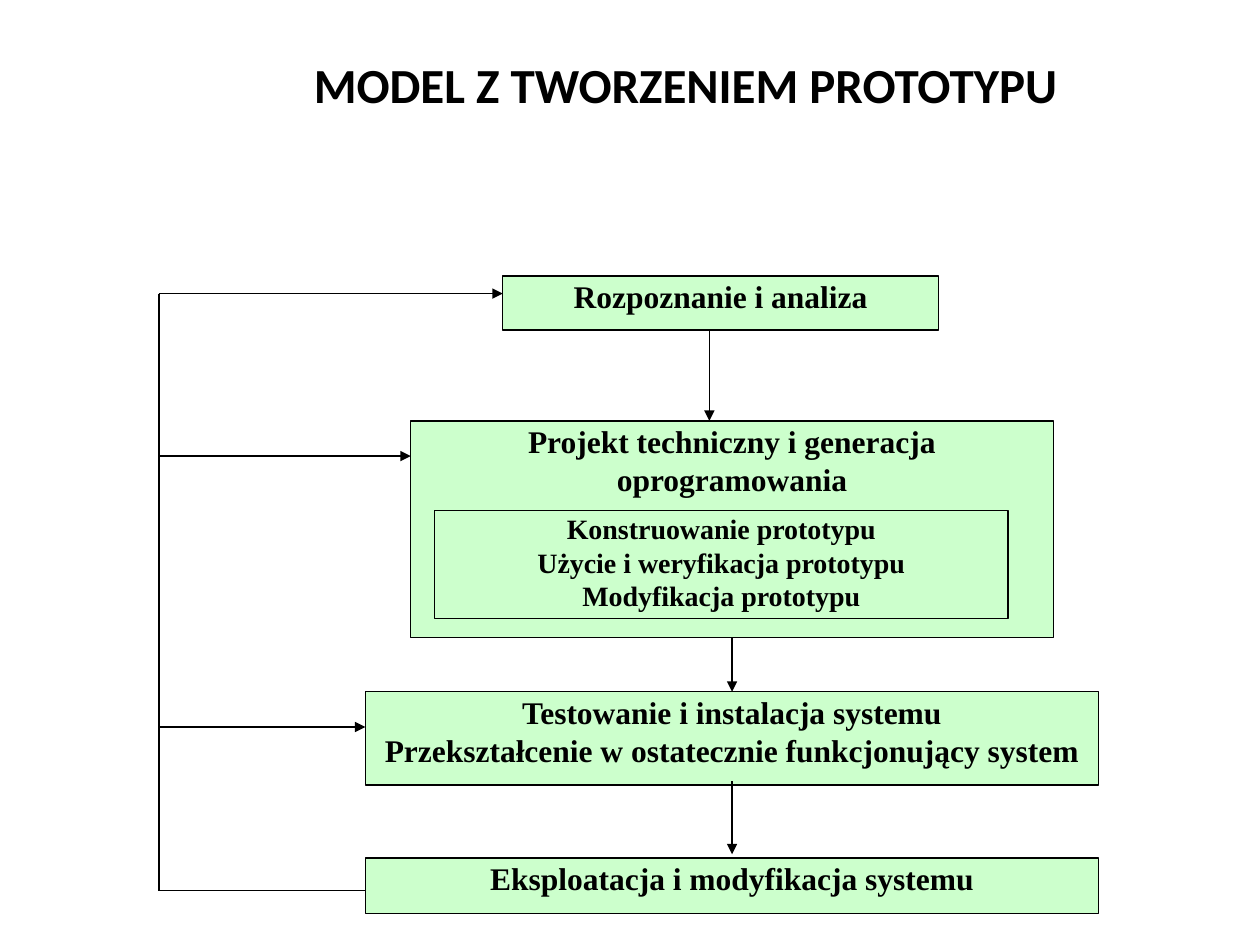
from lxml import etree
from pptx import Presentation
from pptx import util as u
from pptx.dml.color import RGBColor
from pptx.enum import shapes, text
from pptx.oxml import ns

COLORS = {"ink": "000000", "box": "CCFFCC"}
PX = 9144


class Diagram:
    """Draws flow chart elements on one slide in a shared style."""

    def __init__(self, s):
        self.s = s
        self.ink = RGBColor.from_string(COLORS["ink"])

    def label(self, tf, lines, font, size, **frame):
        for name, value in frame.items():
            setattr(tf, name, value)
        style = {"name": font, "size": u.Pt(size), "bold": True}
        for i, line in enumerate(lines):
            p = tf.paragraphs[0] if i == 0 else tf.add_paragraph()
            p.alignment = text.PP_ALIGN.CENTER
            r = p.add_run()
            r.text = line
            for name, value in style.items():
                setattr(r.font, name, value)
            r.font.color.rgb = self.ink

    def title(self, x, y, w, h, line):
        sp = self.s.shapes.title
        for name, value in {"left": x, "top": y, "width": w, "height": h}.items():
            setattr(sp, name, value * PX)
        self.label(sp.text_frame, [line], "Calibri", 28,
                   vertical_anchor=text.MSO_ANCHOR.MIDDLE, word_wrap=True)

    def box(self, x, y, w, h, *lines, size=18, fill="box"):
        sp = self.s.shapes.add_shape(shapes.MSO_SHAPE.RECTANGLE,
                                     x * PX, y * PX, w * PX, h * PX)
        sp.shadow.inherit = False
        if fill:
            sp.fill.solid()
            sp.fill.fore_color.rgb = RGBColor.from_string(COLORS[fill])
        else:
            sp.fill.background()
        sp.line.color.rgb = self.ink
        sp.line.width = u.Pt(0.75)
        margins = {f"margin_{side}": PX for side in ("left", "top", "right", "bottom")}
        self.label(sp.text_frame, lines, "Times New Roman", size, word_wrap=True,
                   vertical_anchor=text.MSO_ANCHOR.TOP, **margins)
        return sp

    def line(self, x1, y1, x2, y2, width=0.75, arrow=True):
        c = self.s.shapes.add_connector(shapes.MSO_CONNECTOR.STRAIGHT,
                                        x1 * PX, y1 * PX, x2 * PX, y2 * PX)
        c.line.color.rgb = self.ink
        c.line.width = u.Pt(width)
        sp_pr = c._element.spPr
        if arrow:
            etree.SubElement(sp_pr.find(ns.qn("a:ln")), ns.qn("a:tailEnd"), type="triangle")
        etree.SubElement(sp_pr, ns.qn("a:effectLst"))
        return c


def main():
    prs = Presentation()
    prs.slide_width, prs.slide_height = u.Inches(10), u.Inches(7.5)
    d = Diagram(prs.slides.add_slide(prs.slide_layouts[5]))

    d.title(118, 34, 852, 65, "MODEL Z TWORZENIEM PROTOTYPU")
    design = d.box(326, 334, 510, 172, "Projekt techniczny i generacja oprogramowania")
    d.box(399, 219, 346, 43, "Rozpoznanie i analiza")
    d.box(345, 405, 455, 86, "Konstruowanie prototypu", "Użycie i weryfikacja prototypu",
          "Modyfikacja prototypu", size=16, fill=None)
    testing = d.box(290, 549, 582, 74, "Testowanie i instalacja systemu",
                    "Przekształcenie w ostatecznie funkcjonujący system")
    d.box(290, 681, 582, 44, "Eksploatacja i modyfikacja systemu")

    d.line(563, 262, 563, 334, width=1)
    step = d.line(581, 506, 581, 549, width=1)
    step.begin_connect(design, 2)
    step.end_connect(testing, 0)
    d.line(581, 620, 581, 678, width=1)

    trunk, top, bottom = 126, 233, 707
    d.line(trunk, top, trunk, bottom, width=1, arrow=False)
    for y, end, width in ((top, 399, 0.75), (362, 326, 0.75), (577, 290, 1.5)):
        d.line(trunk, y, end, y, width=width)
    d.line(trunk, bottom, 290, bottom, arrow=False)

    prs.save("out.pptx")


if __name__ == "__main__":
    main()
